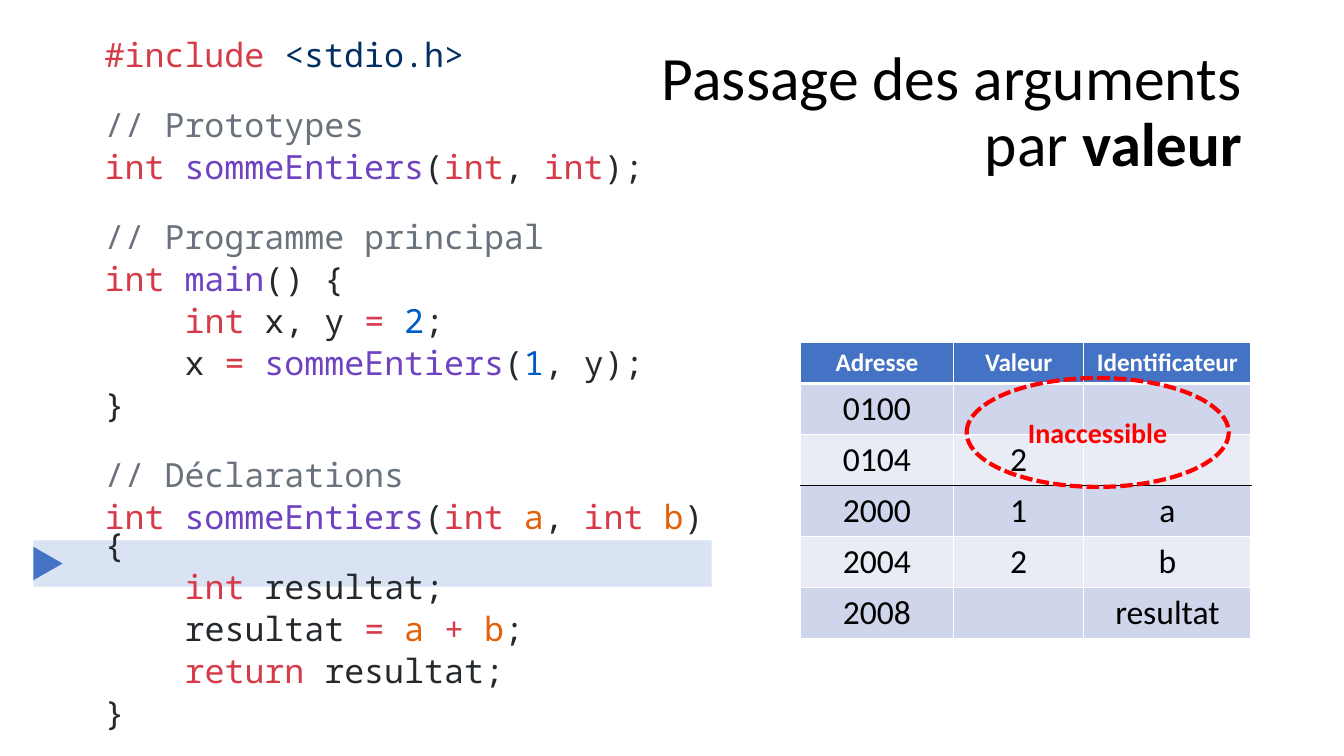
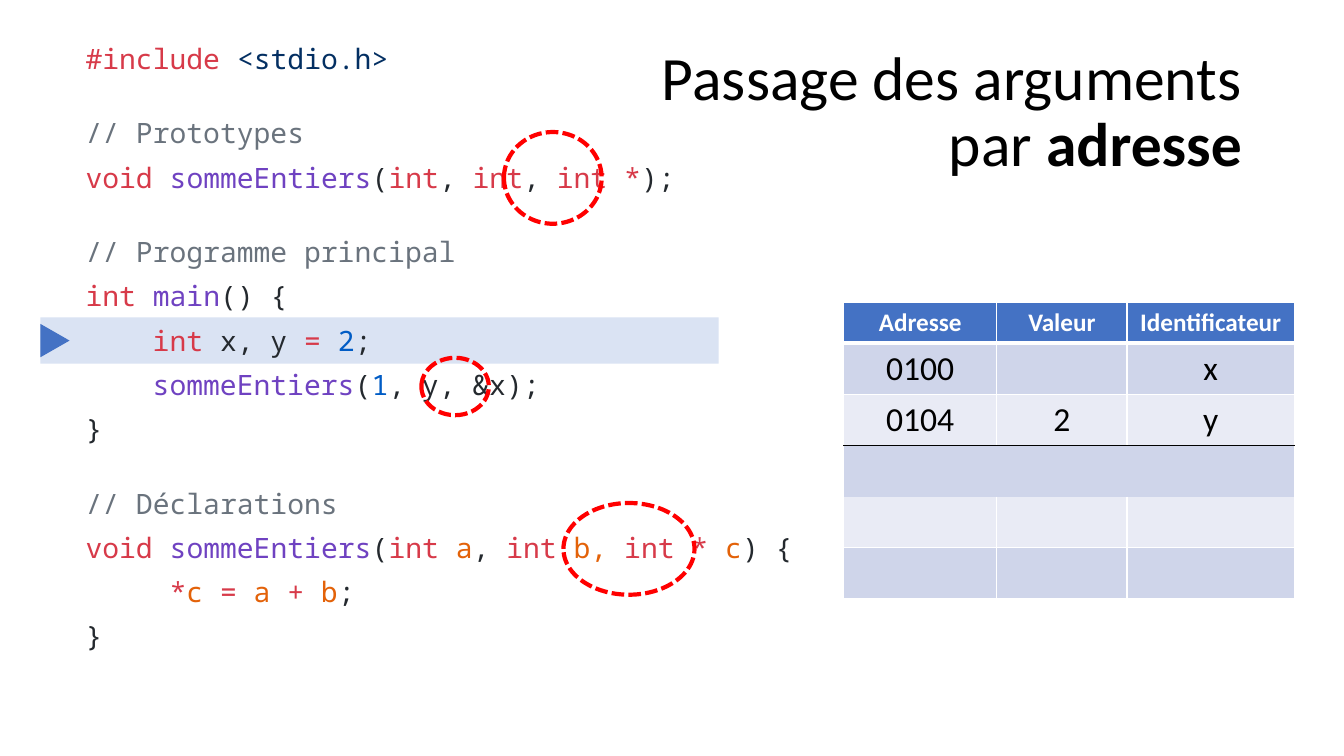
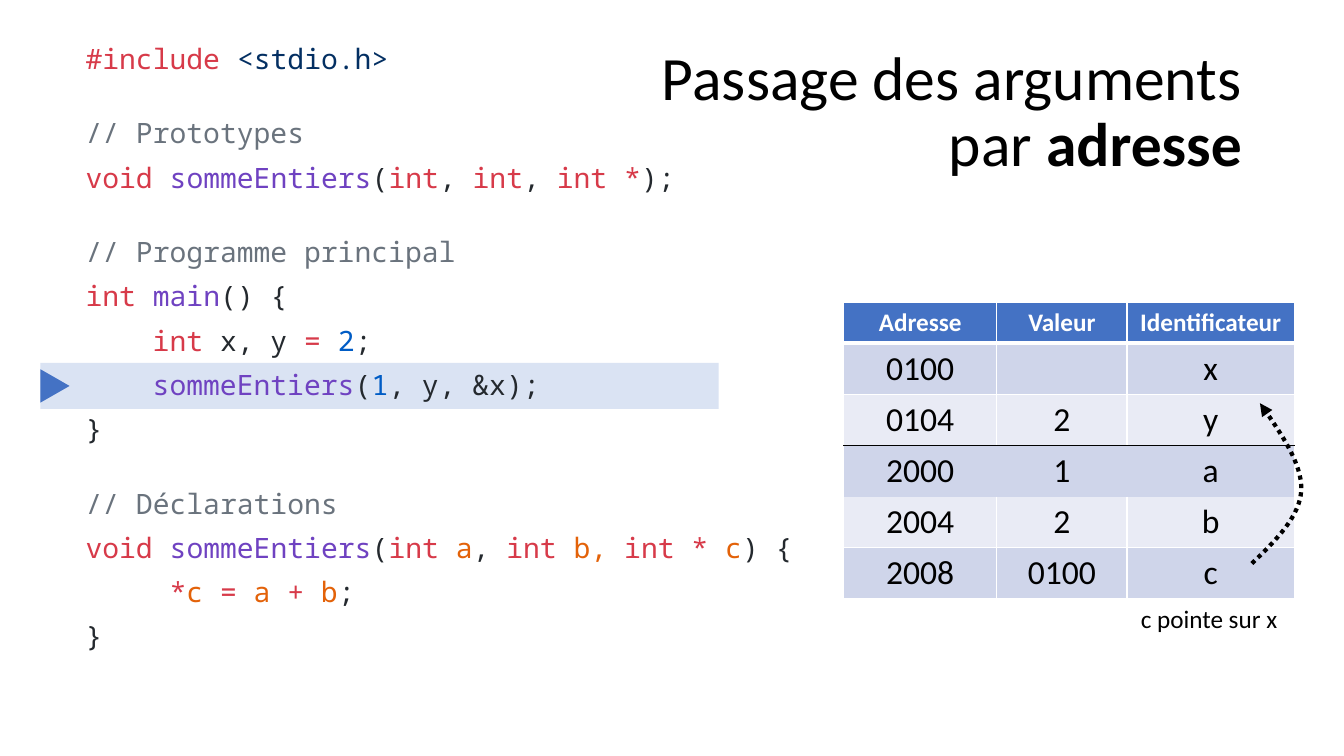
from lxml import etree
from pptx import Presentation
from pptx.dml.color import RGBColor
from pptx.enum.dml import MSO_LINE
from pptx.enum.shapes import MSO_SHAPE
from pptx.enum.text import MSO_ANCHOR, MSO_AUTO_SIZE, PP_ALIGN
from pptx.oxml.ns import qn
from pptx.util import Pt

RECTANGLE, TRIANGLE, OVAL = MSO_SHAPE.RECTANGLE, MSO_SHAPE.ISOSCELES_TRIANGLE, MSO_SHAPE.OVAL
DASHED, DOTTED = MSO_LINE.SQUARE_DOT, MSO_LINE.ROUND_DOT
CENTER, RIGHT = PP_ALIGN.CENTER, PP_ALIGN.RIGHT
MIDDLE = MSO_ANCHOR.MIDDLE
FIT_SHAPE = MSO_AUTO_SIZE.SHAPE_TO_FIT_TEXT

BLACK = RGBColor(0x00, 0x00, 0x00)
WHITE = RGBColor(0xFF, 0xFF, 0xFF)
RED = RGBColor(0xFF, 0x00, 0x00)
BLUE = RGBColor(0x44, 0x72, 0xC4)
PALE_BLUE = RGBColor(0xDA, 0xE3, 0xF3)
ODD_ROW = RGBColor(0xCF, 0xD5, 0xEA)
EVEN_ROW = RGBColor(0xE9, 0xEB, 0xF5)
SYNTAX = {
    "k": RGBColor(0xD7, 0x3A, 0x49),
    "s": RGBColor(0x03, 0x2F, 0x62),
    "c": RGBColor(0x6A, 0x73, 0x7D),
    "f": RGBColor(0x6F, 0x42, 0xC1),
    "p": RGBColor(0x24, 0x29, 0x2E),
    "n": RGBColor(0x00, 0x5C, 0xC5),
    "v": RGBColor(0xE3, 0x62, 0x09),
}

TEXT_FONT = "Calibri"
CODE_FONT = "Noto Sans Mono"
CHARACTER_WIDTH = 0.6
LINE_HEIGHT = 1.2
CODE_GAP = 10

TITLE_BOX = (419.8, 28.8, 474.5, 104.4)
COLUMN_WIDTHS = (109.5, 93, 119.5)
HEADER_HEIGHT, ROW_HEIGHT = 29.2, 36.5
HEADERS = ("Adresse", "Valeur", "Identificateur")
LAST_CALLER_ROW = 2

VALUE_CODE = [
    (0, "k#include |s<stdio.h>"),
    (0, "c// Prototypes"),
    (0, "kint |fsommeEntiers|p(|kint|p, |kint|p);"),
    (0, "c// Programme principal"),
    (0, "kint |fmain|p() {"),
    (4, "kint|p x, y |k= |n2|p;"),
    (4, "px |k= |fsommeEntiers|p(|n1|p, y);"),
    (0, "p}"),
    (0, "c// Déclarations"),
    (0, "kint |fsommeEntiers|p(|kint |va|p, |kint |vb|p) {"),
    (4, "kint |presultat;"),
    (4, "presultat |k= |va |k+ |vb|p;"),
    (4, "kreturn |presultat;"),
    (0, "p}"),
]
ADDRESS_CODE = [
    (0, "k#include |s<stdio.h>"),
    (0, "c// Prototypes"),
    (0, "kvoid |fsommeEntiers|p(|kint|p, |kint|p, |kint *|p);"),
    (0, "c// Programme principal"),
    (0, "kint |fmain|p() {"),
    (4, "kint|p x, y |k= |n2|p;"),
    (4, "fsommeEntiers|p(|n1|p, y, &x);"),
    (0, "p}"),
    (0, "c// Déclarations"),
    (0, "kvoid |fsommeEntiers|p(|kint |va|p, |kint |vb, |kint * |vc|p) {"),
    (5, "k*|vc |k= |va |k+ |vb|p;"),
    (0, "p}"),
]
VALUE_MEMORY = [
    ("0100", "", ""),
    ("0104", "2", ""),
    ("2000", "1", "a"),
    ("2004", "2", "b"),
    ("2008", "", "resultat"),
]
MAIN_MEMORY = [("0100", "", "x"), ("0104", "2", "y")]
BEFORE_CALL = MAIN_MEMORY + [("", "", "")] * 3
AFTER_CALL = MAIN_MEMORY + [("2000", "1", "a"), ("2004", "2", "b"), ("2008", "0100", "c")]


def points(*lengths):
    """Convert numbers to lengths in points."""
    return [Pt(length) for length in lengths]


def style_run(run, size, color, bold=False, font=TEXT_FONT):
    """Give a run its font, size, colour and weight."""
    run.font.name = font
    run.font.size = Pt(size)
    run.font.color.rgb = color
    run.font.bold = bold


def style_line(shape, color, dash):
    """Leave a shape unfilled, with a thick broken outline."""
    shape.shadow.inherit = False
    shape.fill.background()
    shape.line.color.rgb = color
    shape.line.width = Pt(3)
    shape.line.dash_style = dash


def add_title(slide, mode):
    """Place the title, with the passing mode in bold."""
    text_frame = slide.shapes.add_textbox(*points(*TITLE_BOX)).text_frame
    text_frame.word_wrap = True
    text_frame.vertical_anchor = MIDDLE
    paragraph = text_frame.paragraphs[0]
    paragraph.text = "Passage des arguments\vpar "
    paragraph.alignment = RIGHT
    paragraph.line_spacing = 0.9
    paragraph.add_run().text = mode
    for run in paragraph.runs:
        style_run(run, 44, BLACK, run.text == mode)


def add_current_line(slide, left, top):
    """Mark the line being run with a band and a pointer."""
    group = slide.shapes.add_group_shape()
    band = group.shapes.add_shape(RECTANGLE, *points(left, top, 484.6, 33))
    pointer = group.shapes.add_shape(TRIANGLE, *points(left - 1.4, top + 6.1, 23.8, 20.8))
    pointer.rotation = 90
    for shape, color in ((band, PALE_BLUE), (pointer, BLUE)):
        shape.shadow.inherit = False
        shape.fill.solid()
        shape.fill.fore_color.rgb = color
        shape.line.fill.background()


def add_code(slide, box, lines, size, spacing):
    """Write coloured code, with a blank line's gap above each comment."""
    text_frame = slide.shapes.add_textbox(*points(*box)).text_frame
    text_frame.word_wrap = True
    blank_line = size * LINE_HEIGHT * spacing
    for index, (columns, markup) in enumerate(lines):
        paragraph = text_frame.add_paragraph() if index else text_frame.paragraphs[0]
        paragraph.line_spacing = spacing
        paragraph.space_before = Pt(CODE_GAP + (blank_line if markup[0] == "c" else 0))
        indent = Pt(columns * size * CHARACTER_WIDTH)
        paragraph._p.get_or_add_pPr().set("marL", str(indent))
        for token in markup.split("|"):
            run = paragraph.add_run()
            run.text = token[1:]
            style_run(run, size, SYNTAX[token[0]], font=CODE_FONT)


def set_border(cell, side, color, width):
    """Draw one side of a cell, or clear it when the colour is None."""
    border = etree.SubElement(cell._tc.get_or_add_tcPr(), qn(f"a:ln{side}"), w=str(Pt(width)))
    if color is None:
        etree.SubElement(border, qn("a:noFill"))
    else:
        fill = etree.SubElement(border, qn("a:solidFill"))
        etree.SubElement(fill, qn("a:srgbClr"), val=str(color))


def cell_borders(row, ruled):
    """Return the colour and width of each side for the cells of a row."""
    sides = {side: (WHITE, 1) for side in "LRTB"}
    first_callee_row = LAST_CALLER_ROW + 1
    if row == 0:
        sides["B"] = (WHITE, 3)
    elif row == 1:
        sides["T"] = (WHITE, 3)
    elif row == LAST_CALLER_ROW:
        sides["B"] = (BLACK, 1)
    elif row == first_callee_row:
        if not ruled:
            sides = {side: (None, 1) for side in "LRTB"}
        sides["T"] = (BLACK, 1)
    elif row == first_callee_row + 1 and not ruled:
        sides["T"] = (None, 1)
    return sides


def add_memory(slide, left, top, rows, ruled):
    """Place the memory table, with a black rule below the caller's rows."""
    height = HEADER_HEIGHT + ROW_HEIGHT * len(rows)
    box = points(left, top, sum(COLUMN_WIDTHS), height)
    table = slide.shapes.add_table(len(rows) + 1, len(HEADERS), *box).table
    table.first_row = table.horz_banding = False
    for column, width in zip(table.columns, COLUMN_WIDTHS):
        column.width = Pt(width)
    for row, values in enumerate([HEADERS, *rows]):
        table.rows[row].height = Pt(ROW_HEIGHT if row else HEADER_HEIGHT)
        row_fill = (ODD_ROW if row % 2 else EVEN_ROW) if row else BLUE
        for column, value in enumerate(values):
            cell = table.cell(row, column)
            for side, (color, width) in cell_borders(row, ruled).items():
                set_border(cell, side, color, width)
            cell.fill.solid()
            cell.fill.fore_color.rgb = row_fill
            cell.text_frame.text = value
            paragraph = cell.text_frame.paragraphs[0]
            paragraph.alignment = CENTER
            for run in paragraph.runs:
                style_run(run, 24 if row else 18, BLACK if row else WHITE, row == 0)


def add_ring(slide, box, label=""):
    """Circle a spot with a dashed red ellipse."""
    ring = slide.shapes.add_shape(OVAL, *points(*box))
    style_line(ring, RED, DASHED)
    if label:
        ring.text_frame.text = label
        ring.text_frame.vertical_anchor = MIDDLE
        paragraph = ring.text_frame.paragraphs[0]
        paragraph.alignment = CENTER
        style_run(paragraph.runs[0], 20, RED, True)


def curve_points(start, first_control, second_control, end, steps=16):
    """Return points along a cubic curve, without its start."""
    curve = []
    for step in range(1, steps + 1):
        t = step / steps
        weights = ((1 - t) ** 3, 3 * t * (1 - t) ** 2, 3 * t ** 2 * (1 - t), t ** 3)
        corners = (start, first_control, second_control, end)
        curve.append(tuple(sum(w * corner[axis] for w, corner in zip(weights, corners))
                           for axis in (0, 1)))
    return curve


def add_pointer_note(slide, left, top):
    """Draw the dotted arrow from c to x, with its caption below."""
    group = slide.shapes.add_group_shape()
    start, bend, tip = (0, 114.5), (35.3, 61.9), (5.8, 0)
    route = curve_points(start, (17.3, 97.9), (34.6, 80.6), bend)
    route += curve_points(bend, (36, 43.2), (20.9, 21.6), tip)
    builder = group.shapes.build_freeform(*points(left + start[0], top + start[1]))
    builder.add_line_segments([points(left + x, top + y) for x, y in route], close=False)
    arrow = builder.convert_to_shape()
    style_line(arrow, BLACK, DOTTED)
    etree.SubElement(arrow.line._get_or_add_ln(), qn("a:tailEnd"), type="triangle")

    caption = group.shapes.add_textbox(*points(left - 86.4, top + 139.7, 113, 28.8))
    caption.text_frame.word_wrap = False
    caption.text_frame.auto_size = FIT_SHAPE
    caption.text_frame.text = "c pointe sur x"
    style_run(caption.text_frame.paragraphs[0].runs[0], 18, BLACK)


def add_value_slide(presentation):
    """Build the slide on passing by value."""
    slide = presentation.slides.add_slide(presentation.slide_layouts[6])
    add_current_line(slide, 23.8, 386)
    add_title(slide, "valeur")
    add_memory(slide, 571.7, 244.8, VALUE_MEMORY, True)
    add_code(slide, (67.7, 28.8, 466.6, 504.7), VALUE_CODE, 23.8, 0.7)
    add_ring(slide, (690.5, 270, 187.2, 77.8), "Inaccessible")


def add_address_slide(presentation, line_top, memory):
    """Build a slide on passing by address and return it."""
    slide = presentation.slides.add_slide(presentation.slide_layouts[6])
    add_current_line(slide, 28.8, line_top)
    add_title(slide, "adresse")
    add_memory(slide, 602.6, 216, memory, False)
    add_code(slide, (54, 28.8, 579.6, 504.7), ADDRESS_CODE, 20, 0.9)
    return slide


def main():
    """Build and save the presentation."""
    presentation = Presentation()
    presentation.slide_width, presentation.slide_height = points(960, 540)
    add_value_slide(presentation)
    before_call = add_address_slide(presentation, 226.8, BEFORE_CALL)
    for box in ((360, 94.3, 69.8, 65.5), (402.5, 359.3, 93.6, 65.5), (301, 255.6, 48.2, 41)):
        add_ring(before_call, box)
    after_call = add_address_slide(presentation, 259.2, AFTER_CALL)
    add_pointer_note(after_call, 894.2, 288)
    presentation.save("out.pptx")


if __name__ == "__main__":
    main()
